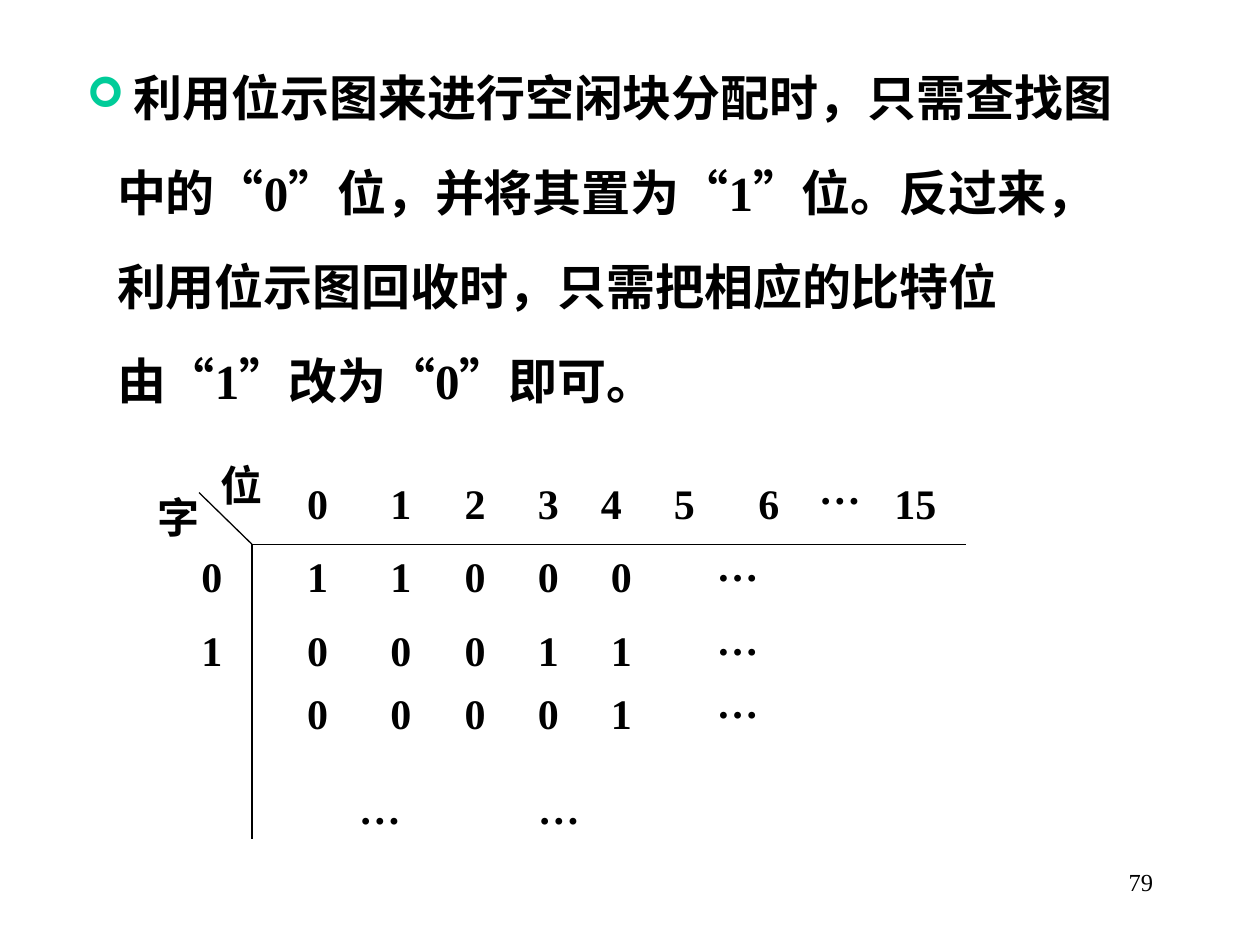
from dataclasses import dataclass

from lxml import etree
from pptx import Presentation
from pptx import util as u
from pptx.dml.color import RGBColor
from pptx.enum import lang, shapes, text
from pptx.oxml.ns import qn

BLACK = RGBColor(0x00, 0x00, 0x00)
GREEN = RGBColor(0x00, 0xCC, 0x99)
FACE = "Times New Roman"
HIGH = 0.5
THIN, WIDE = 0.36, 0.53
DOTS = "…"

BODY = ("利用位示图来进行空闲块分配时，只需查找图中的“0”位，并将其置为“1”位。"
        "反过来，利用位示图回收时，只需把相应的比特位由“1”改为“0”即可。")


@dataclass
class Label:
    words: str
    left: float
    top: float
    width: float = THIN


@dataclass
class Row:
    top: float
    bits: str
    head: str = ""


@dataclass
class Rule:
    start: tuple[float, float]
    end: tuple[float, float]


def style(font, size: float, bold: bool = True) -> None:
    look = {"name": FACE, "size": u.Pt(size), "bold": bold}
    for key, value in look.items():
        setattr(font, key, value)
    font.color.rgb = BLACK


def add_box(slide, left: float, top: float, width: float, height: float, wrap: bool):
    box = slide.shapes.add_textbox(*map(u.Inches, (left, top, width, height)))
    box.text_frame.word_wrap = wrap
    return box.text_frame.paragraphs[0]


def add_label(slide, label: Label) -> None:
    para = add_box(slide, label.left, label.top, label.width, HIGH, False)
    para.alignment = text.PP_ALIGN.CENTER
    run = para.add_run()
    run.text = label.words
    style(run.font, 24)


def add_rule(slide, rule: Rule) -> None:
    ends = map(u.Inches, rule.start + rule.end)
    line = slide.shapes.add_connector(shapes.MSO_CONNECTOR.STRAIGHT, *ends)
    line.line.color.rgb = BLACK
    line.line.width = u.Pt(0.75)
    etree.SubElement(line._element.spPr, qn("a:effectLst"))


def add_mark(para, sign: str, hang: float) -> None:
    props = para._p.get_or_add_pPr()
    props.set("marL", str(u.Inches(hang)))
    props.set("indent", str(-u.Inches(hang)))
    tint = etree.SubElement(props, qn("a:buClr"))
    etree.SubElement(tint, qn("a:srgbClr"), val=str(GREEN))
    etree.SubElement(props, qn("a:buFont"), typeface="Wingdings")
    etree.SubElement(props, qn("a:buChar"), char=sign)


def add_body(slide) -> None:
    para = add_box(slide, 0.59, 0.21, 8.58, 7.05, True)
    add_mark(para, "➢", 0.24)
    para.line_spacing = 1.6
    for words, size in ((" ", 24), (BODY, 28)):
        run = para.add_run()
        run.text = words
        style(run.font, size)
        run.font.language_id = lang.MSO_LANGUAGE_ID.SIMPLIFIED_CHINESE


def add_number(slide) -> None:
    para = add_box(slide, 7.17, 6.83, 2.08, HIGH, True)
    para.alignment = text.PP_ALIGN.RIGHT
    run = para.add_run()
    run.text = "79"
    style(run.font, 14, False)


def make_labels() -> list[Label]:
    # Corner and column heads
    labels = [Label("字", 1.15, 3.85, WIDE), Label("位", 1.65, 3.6, WIDE)]
    heads = (2.34, 3, 3.59, 4.17, 4.67, 5.25, 5.92)
    labels += [Label(str(i), left, 3.74) for i, left in enumerate(heads)]
    labels += [Label(DOTS, 6.4, 3.62, WIDE), Label("15", 7, 3.74, WIDE)]

    # Rows of bits
    places = (2.34, 3, 3.59, 4.17, 4.75)
    rows = [Row(4.32, "11000", "0"), Row(4.91, "00011", "1"), Row(5.41, "00001")]
    for row in rows:
        if row.head:
            labels.append(Label(row.head, 1.5, row.top))
        labels += [Label(bit, left, row.top) for bit, left in zip(row.bits, places)]
        labels.append(Label(DOTS, 5.59, row.top - 0.09, WIDE))

    # Rows left out
    return labels + [Label(DOTS, left, 6.16, WIDE) for left in (2.75, 4.17)]


def main() -> None:
    deck = Presentation()
    deck.slide_width, deck.slide_height = u.Inches(10), u.Inches(7.5)
    slide = deck.slides.add_slide(deck.slide_layouts[6])

    add_number(slide)
    add_body(slide)

    # Axes of the bit map
    joint = (2, 4.32)
    for end in ((2, 6.66), (7.67, 4.32), (1.58, 3.91)):
        add_rule(slide, Rule(joint, end))

    for label in make_labels():
        add_label(slide, label)

    deck.save("out.pptx")


if __name__ == "__main__":
    main()
